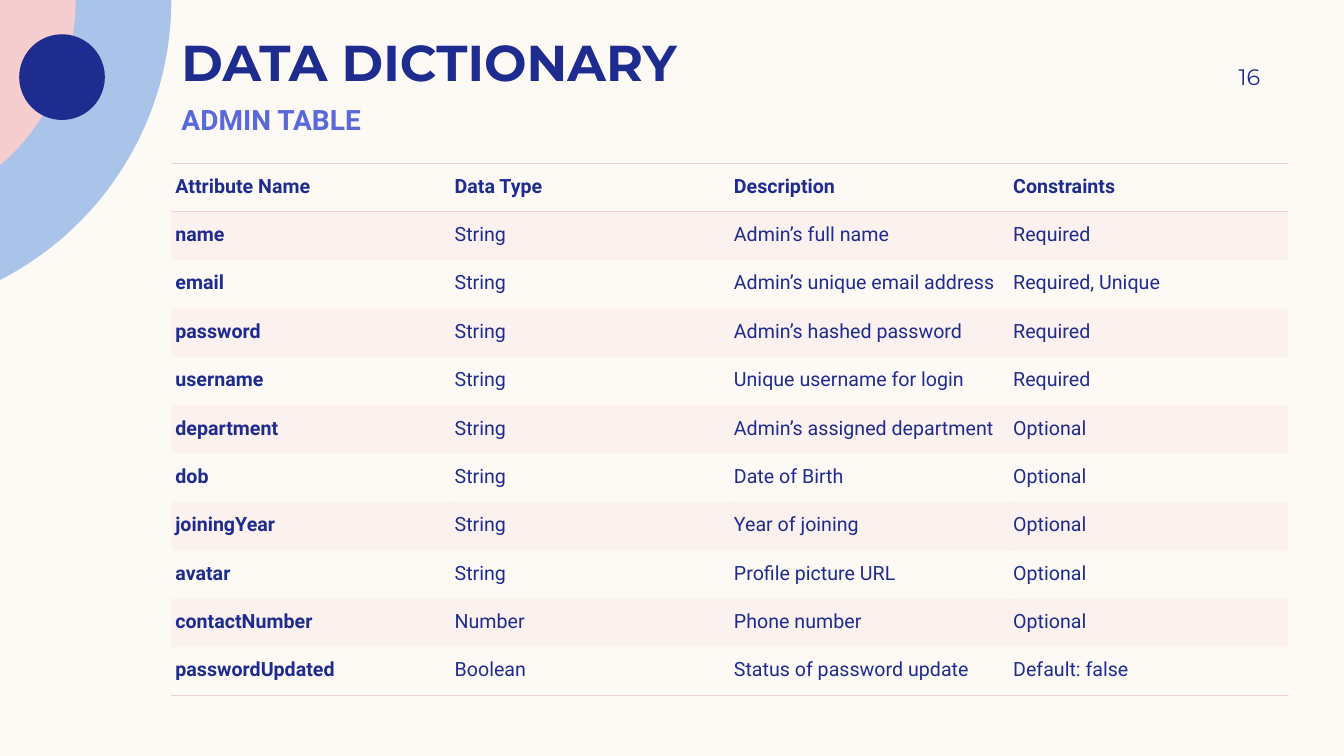
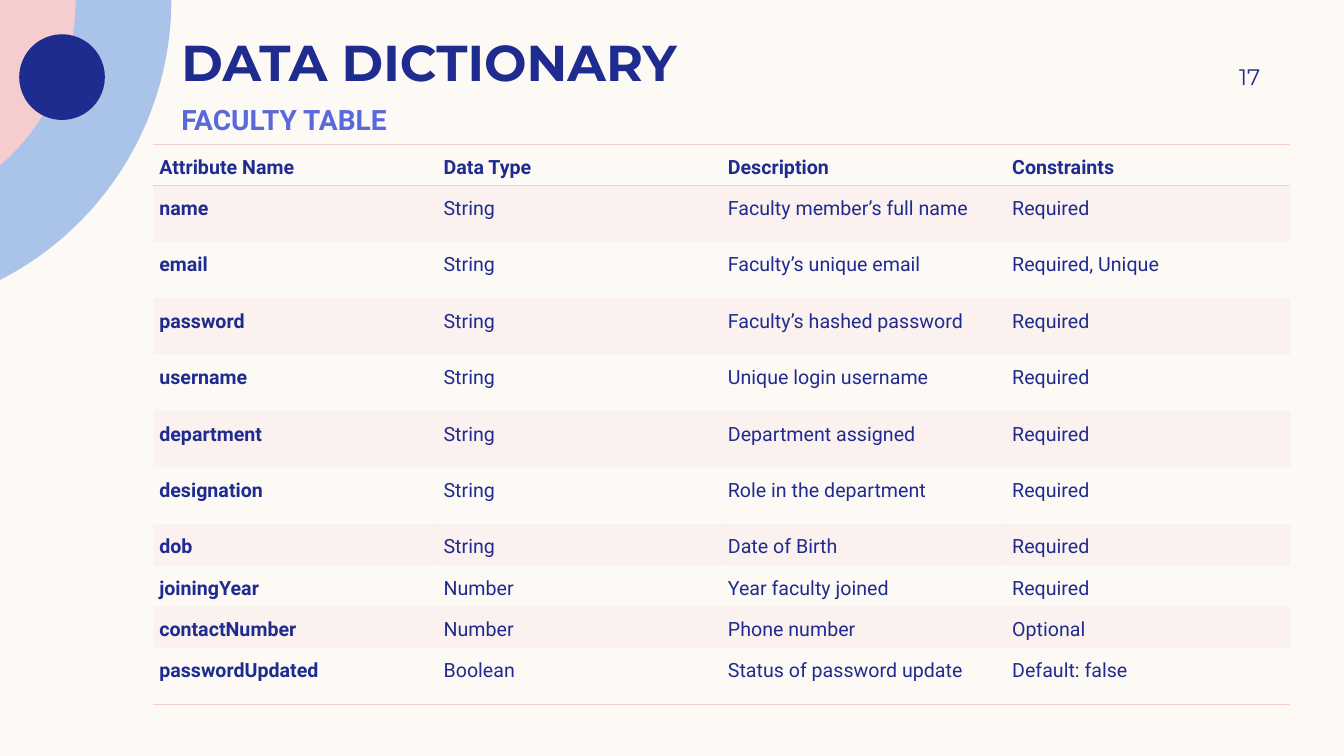
import math
from lxml import etree
from pptx import Presentation
from pptx.dml.color import RGBColor
from pptx.enum.shapes import MSO_SHAPE
from pptx.enum.text import MSO_ANCHOR, MSO_AUTO_SIZE, PP_ALIGN
from pptx.oxml.ns import qn
from pptx.util import Emu, Pt

LEFT, RIGHT, JUSTIFY = PP_ALIGN.LEFT, PP_ALIGN.RIGHT, PP_ALIGN.JUSTIFY
TOP, MIDDLE, BOTTOM = MSO_ANCHOR.TOP, MSO_ANCHOR.MIDDLE, MSO_ANCHOR.BOTTOM
NO_AUTOSIZE = MSO_AUTO_SIZE.NONE
OVAL = MSO_SHAPE.OVAL

PX = 9144  # 100 px to the inch
NO_TABLE_STYLE = "{2D5ABB26-0587-4C30-8999-92F81FD0307C}"
SECTION_LAYOUT = 2

HEADER = ("Attribute Name", "Data Type", "Description", "Constraints")
ADMIN_ROWS = [
    ("name", "String", "Admin’s full name", "Required"),
    ("email", "String", "Admin’s unique email address", "Required, Unique"),
    ("password", "String", "Admin’s hashed password", "Required"),
    ("username", "String", "Unique username for login", "Required"),
    ("department", "String", "Admin’s assigned department", "Optional"),
    ("dob", "String", "Date of Birth", "Optional"),
    ("joiningYear", "String", "Year of joining", "Optional"),
    ("avatar", "String", "Profile picture URL", "Optional"),
    ("contactNumber", "Number", "Phone number", "Optional"),
    ("passwordUpdated", "Boolean", "Status of password update", "Default: false"),
]
FACULTY_ROWS = [
    ("name", "String", "Faculty member’s full name", "Required"),
    ("email", "String", "Faculty’s unique email", "Required, Unique"),
    ("password", "String", "Faculty’s hashed password", "Required"),
    ("username", "String", "Unique login username", "Required"),
    ("department", "String", "Department assigned", "Required"),
    ("designation", "String", "Role in the department", "Required"),
    ("dob", "String", "Date of Birth", "Required"),
    ("joiningYear", "Number", "Year faculty joined", "Required"),
    ("contactNumber", "Number", "Phone number", "Optional"),
    ("passwordUpdated", "Boolean", "Status of password update", "Default: false"),
]
FACULTY_HEIGHTS = [41] + [56] * 6 + [41] * 3 + [56]


def px(n):
    return Emu(round(n * PX))


def rgb(hex_color):
    return RGBColor.from_string(hex_color)


class Deck:
    HEAD_FONT, BODY_FONT = "Montserrat", "Roboto"
    CREAM, NAVY, INDIGO = "FDFAF6", "1F2C8F", "5968DB"
    SKY, PINK = "AAC3E8", "F5CDCE"

    def __init__(self):
        self.prs = Presentation()
        self.prs.slide_width, self.prs.slide_height = px(1333), px(750)
        fill = self.prs.slide_master.background.fill
        fill.solid()
        fill.fore_color.rgb = rgb(self.CREAM)
        self.slide = None

    def add_slide(self, subtitle, number):
        layout = self.prs.slide_layouts[SECTION_LAYOUT]
        self.slide = self.prs.slides.add_slide(layout)
        self.corner()
        title, body = self.slide.placeholders
        self.place(title, 170, 6, 589, 85)
        self.set_text(title.text_frame, "DATA DICTIONARY", self.HEAD_FONT, 36,
                      self.NAVY, bold=True, anchor=BOTTOM)
        self.place(body, 170, 102, 463, 42)
        self.set_text(body.text_frame, subtitle, self.BODY_FONT, 20,
                      self.INDIGO, bold=True, after=12)
        self.page_number(number)

    def place(self, sp, x, y, w, h):
        sp.left, sp.top, sp.width, sp.height = px(x), px(y), px(w), px(h)

    def set_text(self, tf, text, font, size, color, bold=False, align=LEFT,
                 anchor=TOP, after=0, margins=(10, 0, 10, 0)):
        tf.word_wrap = True
        tf.auto_size = NO_AUTOSIZE
        tf.vertical_anchor = anchor
        (tf.margin_left, tf.margin_top,
         tf.margin_right, tf.margin_bottom) = map(px, margins)
        tf.text = text
        self.style(tf.paragraphs[0], font, size, color, bold, align, after)

    def style(self, p, font, size, color, bold, align, after):
        p.alignment = align
        p.space_before, p.space_after = Pt(0), Pt(after)
        for r in p.runs:
            r.font.name, r.font.size, r.font.bold = font, Pt(size), bold
            r.font.color.rgb = rgb(color)

    def paint(self, sp, color):
        sp.shadow.inherit = False
        sp.fill.solid()
        sp.fill.fore_color.rgb = rgb(color)
        sp.line.fill.background()

    def sector(self, radius, color, cx=-142, steps=48):
        """Part of a disc centred left of the slide that lies on the slide."""
        end = math.acos(-cx / radius)
        angles = [end * i / steps for i in range(steps + 1)]
        arc = [(px(cx + radius * math.cos(a)), px(radius * math.sin(a)))
               for a in angles]
        builder = self.slide.shapes.build_freeform(0, 0)
        builder.add_line_segments(arc, close=True)
        self.paint(builder.convert_to_shape(), color)

    def corner(self):
        self.sector(312, self.SKY)
        self.sector(217, self.PINK)
        dot = self.slide.shapes.add_shape(OVAL, px(19), px(34), px(85), px(85))
        self.paint(dot, self.NAVY)

    def page_number(self, number):
        box = self.slide.shapes.add_textbox(px(1133), px(50), px(117), px(52))
        self.set_text(box.text_frame, str(number), self.HEAD_FONT, 16,
                      self.NAVY, align=RIGHT, anchor=MIDDLE,
                      margins=(10, 5, 0, 5))

    def border(self, cell, side):
        tc_pr = cell._tc.get_or_add_tcPr()
        ln = etree.SubElement(tc_pr, qn(f"a:ln{side}"), w=str(Pt(1)))
        fill = etree.SubElement(ln, qn("a:solidFill"))
        etree.SubElement(fill, qn("a:srgbClr"), val=self.PINK)

    def tint(self, cell):
        cell.fill.solid()
        cell.fill.fore_color.rgb = rgb(self.PINK)
        color = cell._tc.tcPr.find(qn("a:solidFill")).find(qn("a:srgbClr"))
        etree.SubElement(color, qn("a:alpha"), val="20000")

    def table(self, x, y, col_width, heights, rows, inset):
        rows = [HEADER] + rows
        frame = self.slide.shapes.add_table(
            len(rows), len(HEADER), px(x), px(y),
            px(col_width * len(HEADER)), px(sum(heights)))
        frame.element.find(".//" + qn("a:tableStyleId")).text = NO_TABLE_STYLE
        table = frame.table
        table.first_row = table.horz_banding = False
        for column in table.columns:
            column.width = px(col_width)
        for i, (values, height) in enumerate(zip(rows, heights)):
            table.rows[i].height = px(height)
            for j, text in enumerate(values):
                cell = table.cell(i, j)
                cell.margin_left = cell.margin_right = px(inset)
                cell.margin_top = cell.margin_bottom = 0
                cell.text = text
                p = cell.text_frame.paragraphs[0]
                self.style(p, self.BODY_FONT, 14, self.NAVY,
                           i == 0 or j == 0, JUSTIFY, 8)
                p.line_spacing = 1.5
                if i == 0:
                    self.border(cell, "T")
                if i in (0, len(rows) - 1):
                    self.border(cell, "B")
                if i % 2:
                    self.tint(cell)
                else:
                    cell.fill.background()


def main():
    deck = Deck()
    deck.add_slide("ADMIN TABLE", 16)
    deck.table(170, 162, 277, [48] * 11, ADMIN_ROWS, inset=4)
    deck.add_slide("FACULTY TABLE", 17)
    deck.table(152, 143, 282, FACULTY_HEIGHTS, FACULTY_ROWS, inset=6)
    deck.prs.save("out.pptx")


if __name__ == "__main__":
    main()
